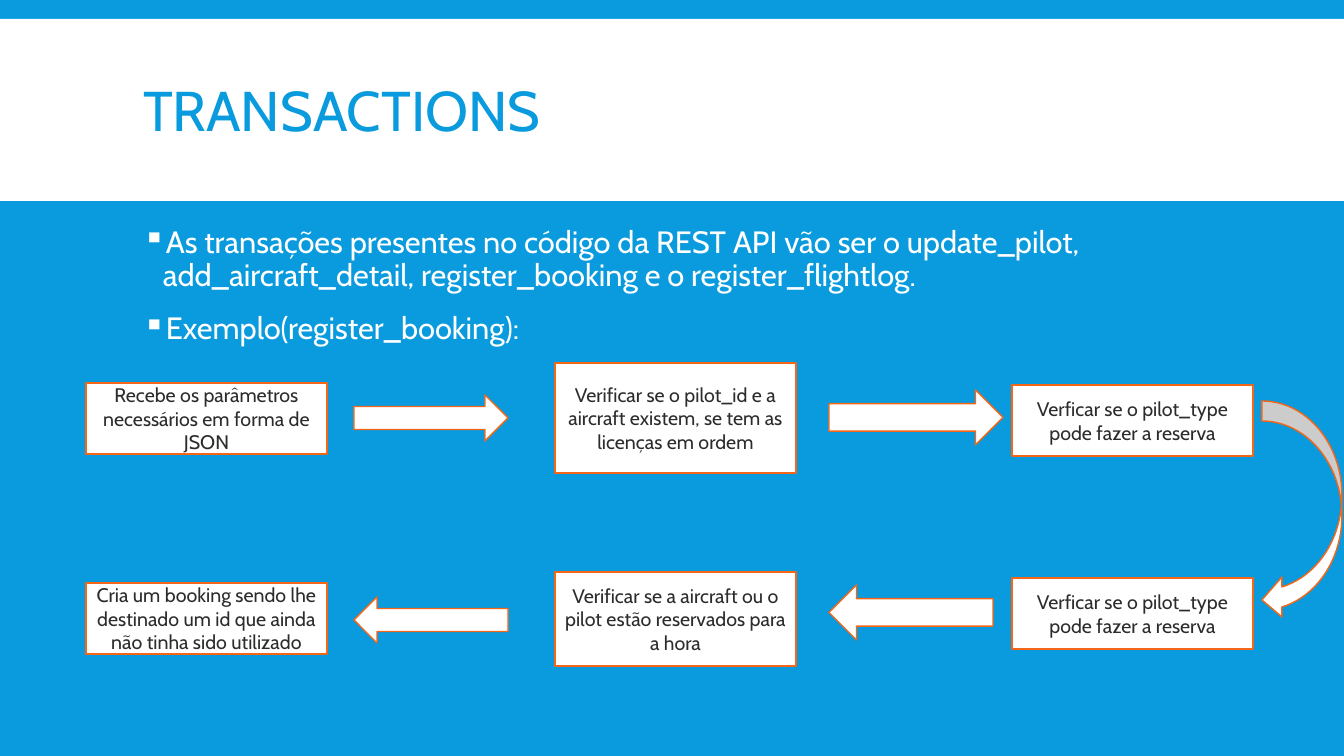
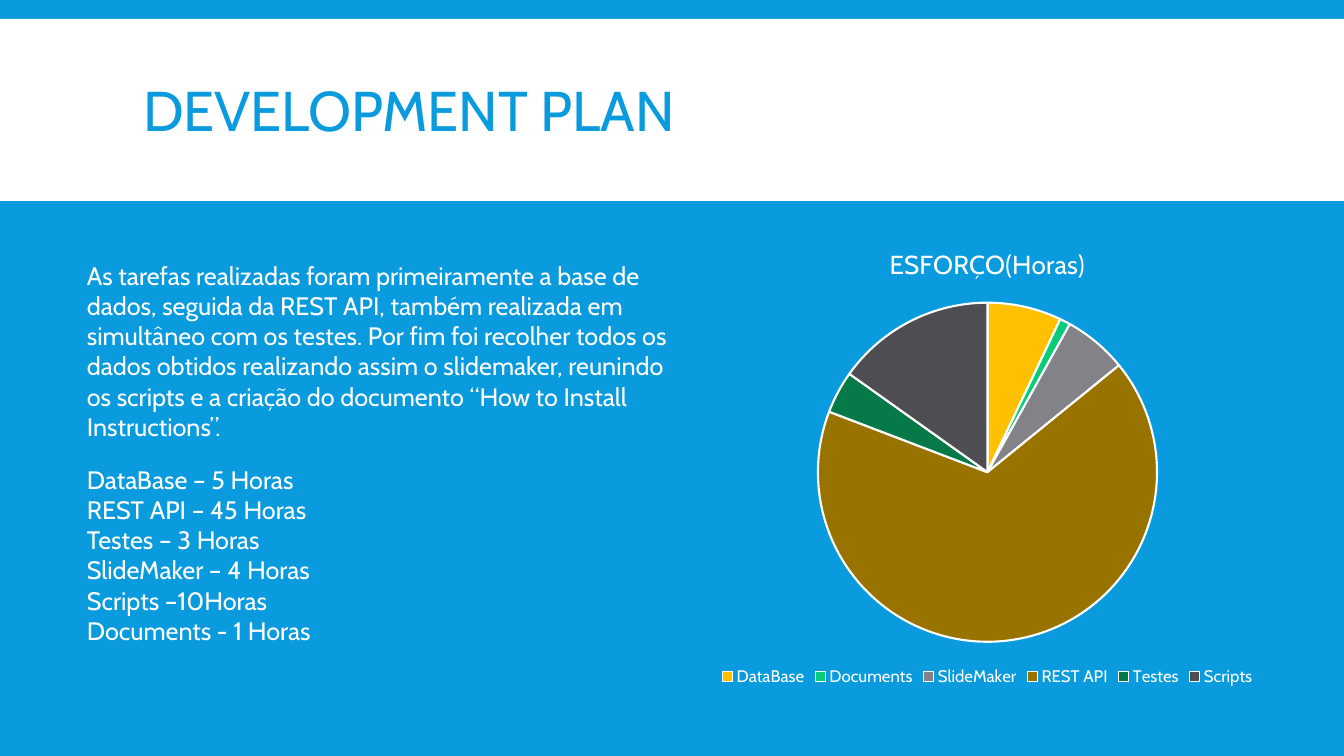
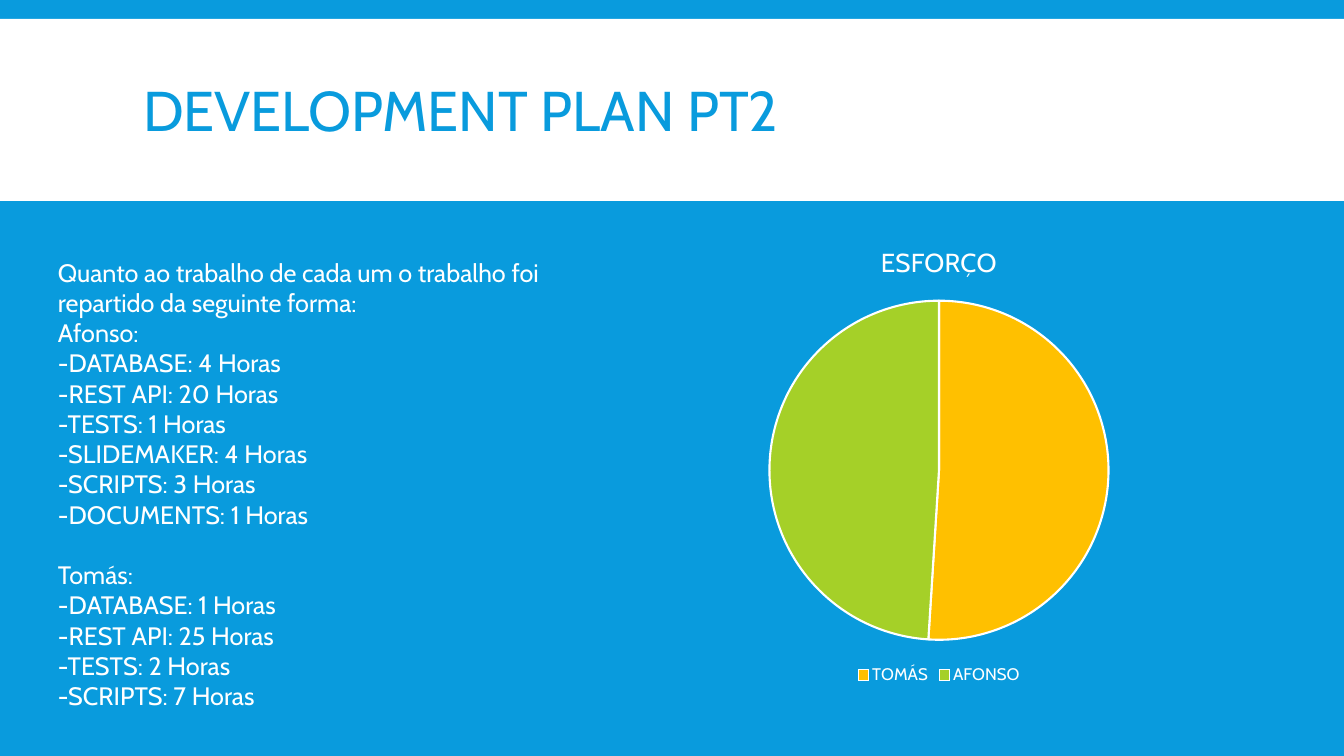
"""Build three slides on booking transactions and development effort."""
from dataclasses import dataclass, field
from typing import Any

from pptx import Presentation
from pptx.chart.data import CategoryChartData
from pptx.dml.color import RGBColor
from pptx.enum.chart import XL_CHART_TYPE as ChartType, XL_LEGEND_POSITION as LegendPosition
from pptx.enum.shapes import MSO_SHAPE as Preset
from pptx.enum.text import MSO_ANCHOR as Anchor, MSO_AUTO_SIZE as AutoSize, PP_ALIGN as Align
from pptx.oxml import parse_xml
from pptx.oxml.ns import nsdecls, qn
from pptx.util import Emu, Pt

EMU_PER_PX = 914400 / 100.8
FONT = "Cabin"
BLUE, WHITE, ORANGE, INK = "099BDD", "FFFFFF", "F56617", "2C2C2C"
COLUMNS = (86, 555, 1012)
BOX_WIDTH, BOX_HEIGHT = 241, 71


@dataclass(frozen=True)
class Area:
    left: int
    top: int
    width: int
    height: int

    def emu(self) -> tuple[Emu, ...]:
        return tuple(px(value) for value in (self.left, self.top, self.width, self.height))


@dataclass(frozen=True)
class TextStyle:
    size: float
    color: str
    para: dict[str, Any] = field(default_factory=dict)
    bullet: str = ""


@dataclass(frozen=True)
class Step:
    text: str
    column: int
    top: int
    height: int = BOX_HEIGHT


@dataclass(frozen=True)
class Arrow:
    preset: Preset
    area: Area


@dataclass(frozen=True)
class Slice:
    label: str
    value: int
    color: str


TITLE_AREA = Area(133, 31, 1079, 166)
BAND_AREA = Area(0, 19, 1344, 182)
TITLE = TextStyle(40, BLUE, {"alignment": Align.LEFT, "line_spacing": 0.85})
BULLETS = TextStyle(
    22, WHITE, {"line_spacing": 0.9, "space_before": Pt(12), "space_after": Pt(2)}, "▪")
BODY = TextStyle(18, WHITE)
STEP = TextStyle(14, INK, {"alignment": Align.CENTER})

TRANSACTIONS = [
    "As transações presentes no código da REST API vão ser o update_pilot, "
    "add_aircraft_detail, register_booking e o register_flightlog.",
    "Exemplo(register_booking):",
]
STEPS = [
    Step("Recebe os parâmetros necessários em forma de JSON", 0, 383),
    Step("Verificar se o pilot_id e a aircraft existem, se tem as licenças em ordem", 1, 363, 110),
    Step("Verficar se o pilot_type pode fazer a reserva", 2, 385),
    Step("Verficar se o pilot_type pode fazer a reserva", 2, 578),
    Step("Verificar se a aircraft ou o pilot estão reservados para a hora", 1, 572, 94),
    Step("Cria um booking sendo lhe destinado um id que ainda não tinha sido utilizado", 0, 583),
]
ARROWS = [
    Arrow(Preset.RIGHT_ARROW, Area(354, 395, 154, 46)),
    Arrow(Preset.RIGHT_ARROW, Area(829, 390, 174, 55)),
    Arrow(Preset.CURVED_LEFT_ARROW, Area(1262, 401, 80, 219)),
    Arrow(Preset.LEFT_ARROW, Area(829, 585, 164, 55)),
    Arrow(Preset.LEFT_ARROW, Area(354, 597, 154, 46)),
]
PLAN = [
    "As tarefas realizadas foram primeiramente a base de dados, seguida da REST API, "
    "também realizada em simultâneo com os testes. Por fim foi recolher todos os dados "
    "obtidos realizando assim o slidemaker, reunindo os scripts e a criação do documento "
    "“How to Install Instructions”.",
]
HOURS = [
    "DataBase – 5 Horas", "REST API – 45 Horas", "Testes – 3 Horas",
    "SlideMaker – 4 Horas", "Scripts –10Horas", "Documents - 1 Horas",
]
TASK_SLICES = [
    Slice("DataBase", 7, "FFC000"), Slice("Documents", 1, "08CC78"),
    Slice("SlideMaker", 6, "828288"), Slice("REST API", 66, "997300"),
    Slice("Testes", 4, "057A48"), Slice("Scripts", 15, "4E4E52"),
]
SHARES = [
    "Quanto ao trabalho de cada um o trabalho foi repartido da seguinte forma:",
    "Afonso:", "-DATABASE: 4 Horas", "-REST API: 20 Horas", "-TESTS: 1 Horas",
    "-SLIDEMAKER: 4 Horas", "-SCRIPTS: 3 Horas", "-DOCUMENTS: 1 Horas",
    "Tomás:", "-DATABASE: 1 Horas", "-REST API: 25 Horas", "-TESTS: 2 Horas",
    "-SCRIPTS: 7 Horas",
]
PERSON_SLICES = [Slice("TOMÁS", 51, "FFC000"), Slice("AFONSO", 49, "A5D028")]


def px(value: int) -> Emu:
    return Emu(round(value * EMU_PER_PX))


def rgb(color: str) -> RGBColor:
    return RGBColor.from_string(color)


def assign(target: Any, values: dict[str, Any]) -> None:
    for name, value in values.items():
        setattr(target, name, value)


def fill_solid(fill: Any, color: str) -> None:
    fill.solid()
    fill.fore_color.rgb = rgb(color)


def style_font(font: Any, size: float, color: str) -> None:
    assign(font, {"name": FONT, "size": Pt(size), "bold": False})
    font.color.rgb = rgb(color)


def add_bullet(para: Any, mark: str) -> None:
    properties = para._p.get_or_add_pPr()
    indent = px(20)
    properties.set("marL", str(indent))
    properties.set("indent", str(-indent))
    for inner in (
        f'<a:buClr {nsdecls("a")}><a:srgbClr val="{WHITE}"/></a:buClr>',
        f'<a:buChar {nsdecls("a")} char="{mark}"/>',
    ):
        properties.append(parse_xml(inner))


def write(frame: Any, lines: list[str], style: TextStyle, anchor: Anchor = Anchor.TOP) -> None:
    assign(frame, {"word_wrap": True, "auto_size": AutoSize.NONE, "vertical_anchor": anchor})
    for index, line in enumerate(lines):
        para = frame.add_paragraph() if index else frame.paragraphs[0]
        if style.bullet:
            add_bullet(para, style.bullet)
        assign(para, style.para)
        if not index:
            para.space_before = Pt(0)
        span = para.add_run()
        span.text = line
        style_font(span.font, style.size, style.color)


def add_text(page: Any, area: Area, lines: list[str], style: TextStyle) -> Any:
    frame = page.shapes.add_textbox(*area.emu()).text_frame
    write(frame, lines, style)
    return frame


def add_figure(page: Any, preset: Preset, area: Area, outline: str = "") -> Any:
    figure = page.shapes.add_shape(preset, *area.emu())
    figure.shadow.inherit = False
    fill_solid(figure.fill, WHITE)
    if outline:
        fill_solid(figure.line.fill, outline)
        figure.line.width = Pt(1)
    else:
        figure.line.fill.background()
    return figure


def add_page(deck: Any, title: str) -> Any:
    page = deck.slides.add_slide(deck.slide_layouts[5])
    heading = page.shapes.title
    assign(heading, dict(zip(("left", "top", "width", "height"), TITLE_AREA.emu())))
    write(heading.text_frame, [title], TITLE, Anchor.MIDDLE)
    return page


def move_band_to_layout(page: Any) -> None:
    band = add_figure(page, Preset.RECTANGLE, BAND_AREA).element
    band.nvSpPr.cNvPr.id = 20
    page.slide_layout.shapes.element.append(band)


def add_pie(page: Any, area: Area, title: str, slices: list[Slice]) -> None:
    data = CategoryChartData()
    data.categories = [part.label for part in slices]
    data.add_series(title, [part.value for part in slices])
    chart = page.shapes.add_chart(ChartType.PIE, *area.emu(), data).chart
    chart.element.find(qn("c:chart")).addnext(parse_xml(
        f'<c:spPr {nsdecls("c", "a")}><a:noFill/><a:ln><a:noFill/></a:ln></c:spPr>'))
    style_font(chart.font, 10, WHITE)
    assign(chart, {"has_title": True, "has_legend": True})
    heading = chart.chart_title.text_frame
    heading.text = title
    style_font(heading.paragraphs[0].runs[0].font, 18.6, WHITE)
    chart.chart_title.include_text_frame = True
    assign(chart.legend, {"position": LegendPosition.BOTTOM, "include_in_layout": False})
    style_font(chart.legend.font, 12, WHITE)
    plot = chart.plots[0]
    plot.vary_by_categories = True
    for index, part in enumerate(slices):
        wedge = plot.series[0].points[index].format
        fill_solid(wedge.fill, part.color)
        fill_solid(wedge.line.fill, WHITE)
        wedge.line.width = Pt(1.5)


def build_transactions(deck: Any) -> None:
    page = add_page(deck, "TRANSACTIONS")
    move_band_to_layout(page)
    add_text(page, Area(133, 222, 1079, 464), TRANSACTIONS, BULLETS)
    for step in STEPS:
        area = Area(COLUMNS[step.column], step.top, BOX_WIDTH, step.height)
        box = add_figure(page, Preset.RECTANGLE, area, ORANGE)
        write(box.text_frame, [step.text], STEP, Anchor.MIDDLE)
    for arrow in ARROWS:
        add_figure(page, arrow.preset, arrow.area, ORANGE)


def build_plan(deck: Any) -> None:
    page = add_page(deck, "DEVELOPMENT PLAN")
    add_text(page, Area(77, 255, 626, 194), PLAN, BODY)
    add_text(page, Area(77, 459, 596, 194), HOURS, BODY)
    add_pie(page, Area(448, 227, 1079, 464), "ESFORÇO(Horas)", TASK_SLICES)


def build_shares(deck: Any) -> None:
    page = add_page(deck, "DEVELOPMENT PLAN PT2")
    add_pie(page, Area(458, 225, 962, 464), "ESFORÇO", PERSON_SLICES)
    frame = add_text(page, Area(48, 252, 598, 468), SHARES, BODY)
    frame.paragraphs[SHARES.index("Tomás:")].space_before = Pt(21.6)


def main() -> None:
    deck = Presentation()
    assign(deck, {"slide_width": px(1344), "slide_height": px(756)})
    fill_solid(deck.slide_master.background.fill, BLUE)
    for build in (build_transactions, build_plan, build_shares):
        build(deck)
    deck.save("out.pptx")


if __name__ == "__main__":
    main()
